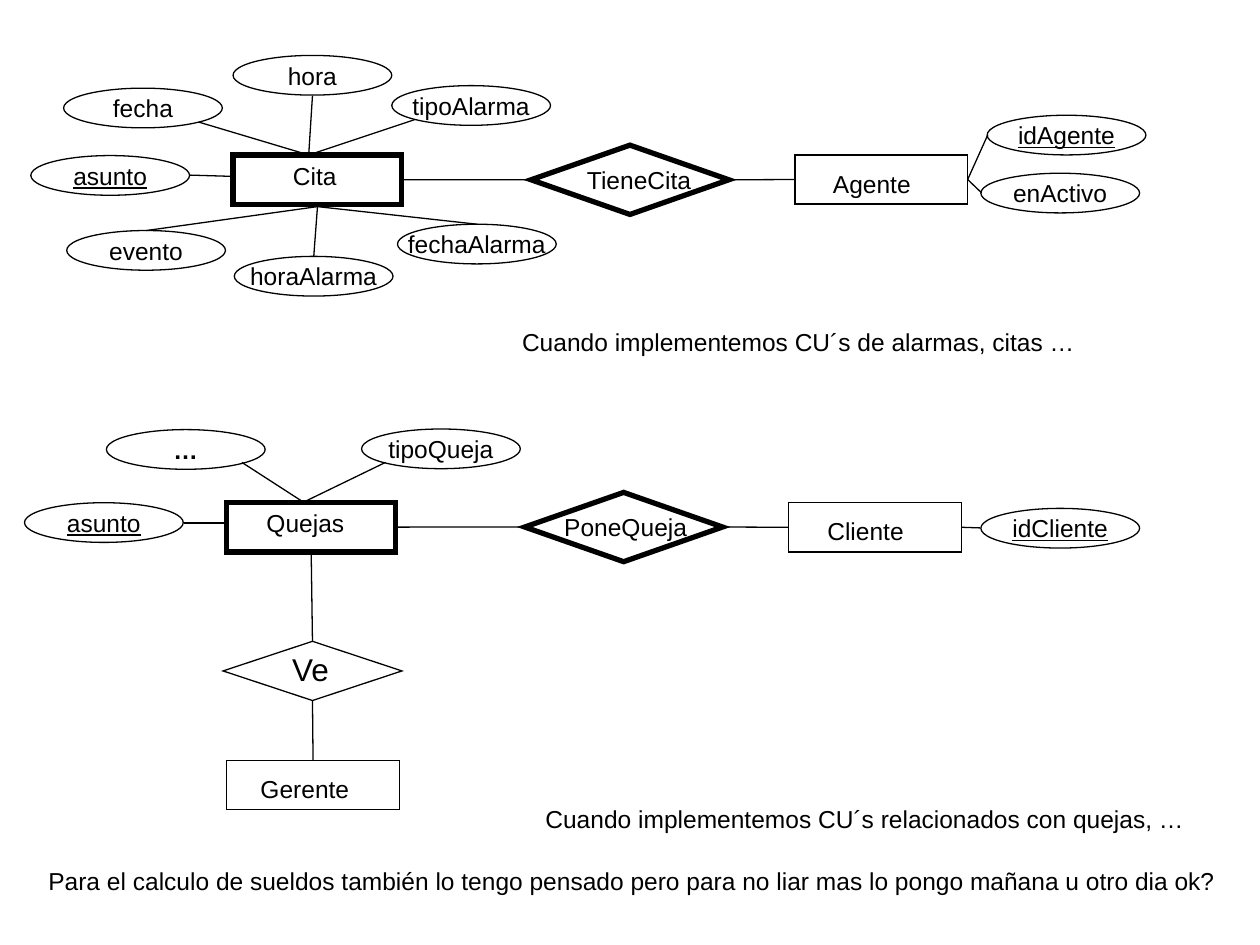
"""Build the entity-relationship slide for appointments (Cita) and complaints (Quejas)."""
from lxml.etree import SubElement
from pptx import Presentation
from pptx.dml.color import RGBColor
from pptx.enum.shapes import MSO_CONNECTOR, MSO_SHAPE
from pptx.enum.text import MSO_ANCHOR, MSO_AUTO_SIZE, PP_ALIGN
from pptx.oxml.ns import qn
from pptx.util import Inches, Pt

COLORS = {"ink": "000000", "paper": "FFFFFF"}
INK = RGBColor.from_string(COLORS["ink"])
THIN, THICK = 0.75, 3
TOP, LEFT, BOTTOM, RIGHT = range(4)

deck = Presentation()
deck.slide_width, deck.slide_height = Inches(10), Inches(7.5)
column, row = deck.slide_width / 100, deck.slide_height / 75
page = deck.slides.add_slide(deck.slide_layouts[6])
page.background.fill.solid()
page.background.fill.fore_color.rgb = RGBColor.from_string(COLORS["paper"])


def draw(kind, left, top, width, height, weight):
    shape = page.shapes.add_shape(
        kind, round(left * column), round(top * row), round(width * column), round(height * row)
    )
    shape.shadow.inherit = False
    shape.fill.background()
    shape.line.color.rgb = INK
    shape.line.width = Pt(weight)
    SubElement(shape.line._ln, qn("a:miter"), lim="800000")
    return shape


def write(box, text, align, size=14):
    box.text_frame.word_wrap = False
    para = box.text_frame.paragraphs[0]
    para.text = text
    para.alignment = align
    para.font.name, para.font.size = "Arial", Pt(size)
    para.font.color.rgb = INK
    return para


entities = {}
for entity, kind, left, top, width, height, weight in [
    ("Agente", MSO_SHAPE.RECTANGLE, 63.1, 12.3, 13.7, 3.9, THIN),
    ("Cita", MSO_SHAPE.RECTANGLE, 18.5, 12.3, 13.4, 3.95, THICK),
    ("TieneCita", MSO_SHAPE.FLOWCHART_DECISION, 42.15, 11.52, 15.7, 5.5, THICK),
    ("Cliente", MSO_SHAPE.RECTANGLE, 62.6, 39.9, 13.7, 3.9, THIN),
    ("Quejas", MSO_SHAPE.RECTANGLE, 18, 39.86, 13.4, 3.95, THICK),
    ("PoneQueja", MSO_SHAPE.FLOWCHART_DECISION, 41.65, 39.08, 15.7, 5.5, THICK),
    ("Gerente", MSO_SHAPE.RECTANGLE, 18, 60.35, 13.7, 3.9, THIN),
    ("Ve", MSO_SHAPE.DIAMOND, 17.7, 50.9, 14.2, 4.7, THIN),
]:
    entities[entity] = draw(kind, left, top, width, height, weight)

for text, left, top in [
    ("idAgente", 78.35, 9.15),
    ("enActivo", 77.85, 13.75),
    ("asunto", 2.45, 12.35),
    ("evento", 5.3, 18.3),
    ("horaAlarma", 18.6, 20.35),
    ("fechaAlarma", 31.55, 17.8),
    ("fecha", 5.05, 7),
    ("hora", 18.5, 4.4),
    ("tipoAlarma", 31.1, 6.8),
    ("idCliente", 77.85, 40.35),
    ("asunto", 1.95, 39.9),
    ("…", 8.45, 34.1),
    ("tipoQueja", 28.7, 34.05),
]:
    attribute = draw(MSO_SHAPE.OVAL, left, top, 12.6, 3.15, THIN)
    attribute.text_frame.vertical_anchor = MSO_ANCHOR.MIDDLE
    para = write(attribute, text, PP_ALIGN.CENTER)
    if text in ("asunto", "idAgente", "idCliente"):
        para.font.underline = True
    if text == "…":
        para.font.bold = True

for text, left, top, width, indent, align, size in [
    ("Agente", 65, 12.9, 8.4, 1, PP_ALIGN.CENTER, 14),
    ("Cita", 18.5, 12.3, 12, 4.75, PP_ALIGN.LEFT, 14),
    ("TieneCita", 45.6, 12.6, 10.5, 1, PP_ALIGN.LEFT, 14),
    ("Cliente", 64.55, 40.45, 8.3, 1, PP_ALIGN.CENTER, 14),
    ("Quejas", 18, 39.8, 12, 3.15, PP_ALIGN.LEFT, 14),
    ("PoneQueja", 43.8, 40.15, 12, 1, PP_ALIGN.LEFT, 14),
    ("Gerente", 19.55, 60.9, 9.3, 1, PP_ALIGN.CENTER, 14),
    ("Ve", 22.2, 51.1, 5.2, 1, PP_ALIGN.LEFT, 18),
    ("Cuando implementemos CU´s de alarmas, citas …", 40.45, 25.5, 45.9, 1, PP_ALIGN.LEFT, 14),
    ("Cuando implementemos CU´s relacionados con quejas, …", 42.3, 63.3, 52.8, 1, PP_ALIGN.LEFT, 14),
    ("Para el calculo de sueldos también lo tengo pensado pero para no liar mas "
     "lo pongo mañana u otro dia ok?", 2.85, 68.25, 94.8, 1, PP_ALIGN.LEFT, 14),
]:
    height = 3.4 if size == 14 else 4
    box = page.shapes.add_textbox(
        round(left * column), round(top * row), round(width * column), round(height * row)
    )
    write(box, text, align, size)
    box.text_frame.margin_left = round(indent * column)
    if indent > 1:
        box.text_frame.word_wrap = True
    box.text_frame.auto_size = MSO_AUTO_SIZE.SHAPE_TO_FIT_TEXT

for start, end in [
    (("Agente", RIGHT), (77.9, 15.3)),
    (("Agente", RIGHT), (78.4, 10.7)),
    (("TieneCita", LEFT), ("Cita", RIGHT)),
    (("TieneCita", RIGHT), ("Agente", LEFT)),
    ((25.2, 16.4), (24.9, 20.4)),
    ((25.2, 16.4), (37.9, 17.8)),
    ((25.2, 16.4), (11.6, 18.3)),
    ((15.1, 13.9), (18.5, 14)),
    ((15.8, 9.7), (24.5, 12.3)),
    ((24.8, 7.6), (24.5, 12.3)),
    ((32.9, 9.5), (24.5, 12.3)),
    (("Cliente", RIGHT), (77.8, 41.9)),
    (("PoneQueja", LEFT), ("Quejas", RIGHT)),
    (("PoneQueja", RIGHT), ("Cliente", LEFT)),
    ((14.6, 41.5), (18, 41.5)),
    ((19.2, 36.7), (24, 39.8)),
    ((30.6, 36.7), (24, 39.9)),
    (("Quejas", BOTTOM), ("Ve", TOP)),
    (("Ve", BOTTOM), ("Gerente", TOP)),
]:
    points = [(0, 0) if point[0] in entities else point for point in (start, end)]
    (x1, y1), (x2, y2) = points
    link = page.shapes.add_connector(
        MSO_CONNECTOR.STRAIGHT,
        round(x1 * column), round(y1 * row), round(x2 * column), round(y2 * row),
    )
    for (target, side), connect in ((start, link.begin_connect), (end, link.end_connect)):
        if target in entities:
            connect(entities[target], side)
    link.line.color.rgb = INK
    link.line.width = Pt(THIN)
    SubElement(link._element.spPr, qn("a:effectLst"))

deck.save("out.pptx")
